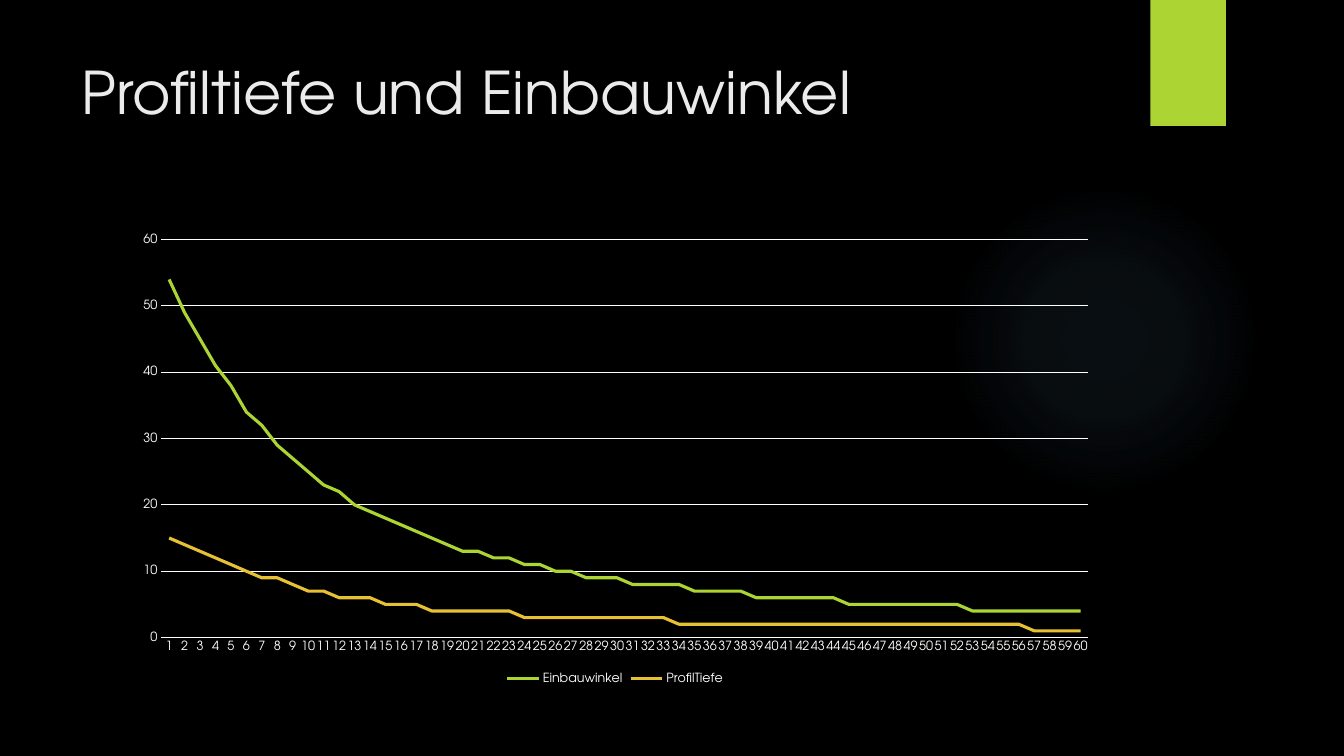
"""Builds the slide on profile depth and mounting angle."""
from lxml import etree
from pptx import Presentation
from pptx.chart.data import CategoryChartData
from pptx.dml.color import RGBColor
from pptx.enum.chart import XL_CHART_TYPE, XL_LEGEND_POSITION, XL_TICK_MARK
from pptx.enum.shapes import MSO_SHAPE
from pptx.enum.text import MSO_ANCHOR, MSO_AUTO_SIZE, PP_ALIGN
from pptx.oxml import parse_xml
from pptx.oxml.ns import qn
from pptx.util import Inches, Pt

LINE_CHART = XL_CHART_TYPE.LINE
LEGEND_BOTTOM = XL_LEGEND_POSITION.BOTTOM
NO_TICK = XL_TICK_MARK.NONE
ELLIPSE, RECTANGLE = MSO_SHAPE.OVAL, MSO_SHAPE.RECTANGLE
TOP, LEFT, NO_AUTOFIT = MSO_ANCHOR.TOP, PP_ALIGN.LEFT, MSO_AUTO_SIZE.NONE

BLACK = RGBColor(0x00, 0x00, 0x00)
WHITE = RGBColor(0xFF, 0xFF, 0xFF)
LIGHT = RGBColor(0xEB, 0xEB, 0xEB)
GREEN = RGBColor(0xAC, 0xD4, 0x33)
YELLOW = RGBColor(0xE6, 0xC1, 0x33)
SKY = RGBColor(0x7A, 0xC4, 0xF0)

FONT = "TeX Gyre Adventor"
DRAWING = "http://schemas.openxmlformats.org/drawingml/2006/main"
TITLE_ONLY = 5
GLOW_STOPS = [(0, 7), (36, 6), (69, 0)]
PLOT_LAYOUT = {"layoutTarget": "inner", "xMode": "edge", "yMode": "edge",
               "x": 0.04, "y": 0.03, "w": 0.94, "h": 0.86}

ANGLES = [54, 49, 45, 41, 38, 34, 32, 29, 27, 25, 23, 22, 20, 19, 18, 17, 16, 15, 14, 13,
          13, 12, 12, 11, 11, 10, 10, 9, 9, 9, 8, 8, 8, 8, 7, 7, 7, 7, 6, 6,
          6, 6, 6, 6, 5, 5, 5, 5, 5, 5, 5, 5, 4, 4, 4, 4, 4, 4, 4, 4]
DEPTHS = [15, 14, 13, 12, 11, 10, 9, 9, 8, 7, 7, 6, 6, 6, 5, 5, 5, 4, 4, 4,
          4, 4, 4, 3, 3, 3, 3, 3, 3, 3, 3, 3, 3, 2, 2, 2, 2, 2, 2, 2,
          2, 2, 2, 2, 2, 2, 2, 2, 2, 2, 2, 2, 2, 2, 2, 2, 1, 1, 1, 1]
CURVES = [("Einbauwinkel", ANGLES, GREEN), ("ProfilTiefe", DEPTHS, YELLOW)]


class SlideBuilder:
    """Holds the font style and the current slide."""

    def __init__(self, page, font_name):
        self.page = page
        self.font_name = font_name
        page.background.fill.solid()
        page.background.fill.fore_color.rgb = BLACK

    def style_font(self, font, size, color):
        for name, value in {"name": self.font_name, "size": Pt(size), "bold": False}.items():
            setattr(font, name, value)
        font.color.rgb = color

    def style_line(self, line, color, width):
        line.color.rgb = color
        line.width = Pt(width)

    def add_shape(self, kind, left, top, width, height, color):
        shape = self.page.shapes.add_shape(
            kind, Inches(left), Inches(top), Inches(width), Inches(height))
        shape.shadow.inherit = False
        shape.line.fill.background()
        shape.fill.solid()
        shape.fill.fore_color.rgb = color
        return shape

    def add_glow(self, left, top, size, color, stops):
        glow = self.add_shape(ELLIPSE, left, top, size, size, color)
        stop_list = "".join(
            f'<a:gs pos="{place * 1000}"><a:srgbClr val="{color}">'
            f'<a:alpha val="{alpha * 1000}"/></a:srgbClr></a:gs>' for place, alpha in stops)
        gradient = parse_xml(
            f'<a:gradFill xmlns:a="{DRAWING}"><a:gsLst>{stop_list}</a:gsLst>'
            '<a:path path="circle"><a:fillToRect l="50000" t="50000" r="50000" b="50000"/>'
            '</a:path></a:gradFill>')
        properties = glow.element.spPr
        properties.replace(properties.find(qn("a:solidFill")), gradient)

    def add_title(self, text, left, top, width, height):
        title = self.page.shapes.title
        place = {"left": left, "top": top, "width": width, "height": height}
        for name, value in place.items():
            setattr(title, name, Inches(value))
        frame = title.text_frame
        frame_format = {"text": text, "word_wrap": True, "vertical_anchor": TOP,
                        "auto_size": NO_AUTOFIT}
        for name, value in frame_format.items():
            setattr(frame, name, value)
        para = frame.paragraphs[0]
        para.alignment = LEFT
        self.style_font(para.runs[0].font, 42, LIGHT)

    def add_line_chart(self, curves, left, top, width, height):
        data = CategoryChartData()
        data.categories = [str(number + 1) for number in range(len(curves[0][1]))]
        for name, values, _ in curves:
            data.add_series(name, values)
        chart = self.page.shapes.add_chart(
            LINE_CHART, Inches(left), Inches(top), Inches(width), Inches(height), data).chart
        chart.has_title = False
        self.style_font(chart.font, 10, WHITE)
        chart.plots[0].vary_by_categories = False
        for series, (_, _, color) in zip(chart.plots[0].series, curves):
            series.smooth = False
            self.style_line(series.format.line, color, 2.25)
        self.style_axes(chart)
        self.place_plot(chart)
        chart.has_legend = True
        chart.legend.position = LEGEND_BOTTOM
        chart.legend.include_in_layout = False
        self.style_font(chart.legend.font, 9, WHITE)

    def style_axes(self, chart):
        for axis in (chart.category_axis, chart.value_axis):
            axis.major_tick_mark = axis.minor_tick_mark = NO_TICK
            self.style_font(axis.tick_labels.font, 9, WHITE)
        self.style_line(chart.category_axis.format.line, WHITE, 0.75)
        values = chart.value_axis
        axis_format = {"minimum_scale": 0, "maximum_scale": 60, "major_unit": 10,
                       "has_major_gridlines": True}
        for name, value in axis_format.items():
            setattr(values, name, value)
        values.format.line.fill.background()
        self.style_line(values.major_gridlines.format.line, WHITE, 0.75)
        category = chart.plots[0].chart.category_axis._element
        category.find(f"{qn('c:txPr')}/{qn('a:bodyPr')}").set("rot", "0")
        skip = etree.Element(qn("c:tickLblSkip"), val="1")
        category.find(qn("c:noMultiLvlLbl")).addprevious(skip)

    def place_plot(self, chart):
        area = chart._chartSpace.chart.plotArea
        for layout in area.findall(qn("c:layout")):
            area.remove(layout)
        layout = etree.Element(qn("c:layout"))
        manual = etree.SubElement(layout, qn("c:manualLayout"))
        for name, value in PLOT_LAYOUT.items():
            etree.SubElement(manual, qn(f"c:{name}"), val=str(value))
        area.insert(0, layout)


def main():
    deck = Presentation()
    deck.slide_width, deck.slide_height = Inches(13.33), Inches(7.5)
    page = deck.slides.add_slide(deck.slide_layouts[TITLE_ONLY])
    builder = SlideBuilder(page, FONT)
    builder.add_glow(9.41, 1.83, 3.08, SKY, GLOW_STOPS)
    builder.add_shape(RECTANGLE, 11.41, 0, 0.75, 1.25, GREEN)
    builder.add_title("Profiltiefe und Einbauwinkel", 0.71, 0.5, 10.29, 1.53)
    builder.add_line_chart(CURVES, 1.21, 2.24, 9.78, 4.59)
    deck.save("out.pptx")


if __name__ == "__main__":
    main()
